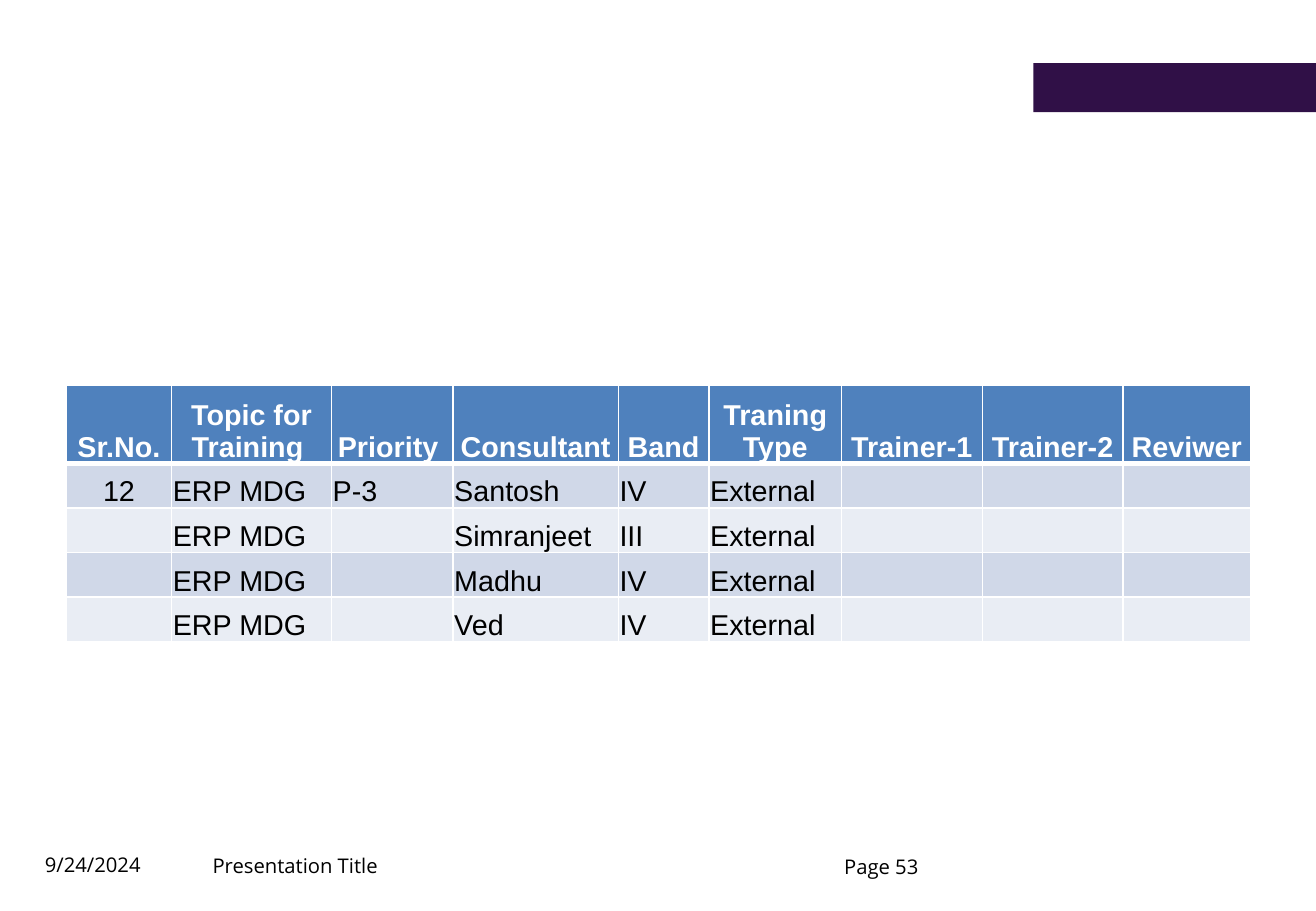
"""Build the training plan slide with its table, accent bar and footer."""
from lxml import etree
from pptx import Presentation
from pptx.dml.color import RGBColor
from pptx.enum.shapes import MSO_SHAPE
from pptx.enum.text import MSO_ANCHOR, PP_ALIGN
from pptx.oxml.ns import qn
from pptx.util import Pt

RECT = MSO_SHAPE.RECTANGLE
TOP, BOTTOM = MSO_ANCHOR.TOP, MSO_ANCHOR.BOTTOM
LEFT, CENTER = PP_ALIGN.LEFT, PP_ALIGN.CENTER
COLORS = {"bar": "301047", "head": "4F81BD", "odd": "D0D8E8",
          "even": "E9EDF4", "white": "FFFFFF", "black": "000000"}


def write(frame, text, font="Arial", size=17, color="black", bold=False,
          align=LEFT, spacing=1.0):
    para = frame.paragraphs[0]
    para.alignment = align
    para.line_spacing = spacing
    run = para.add_run()
    run.text = text
    run.font.name = font
    run.font.size = Pt(size)
    run.font.bold = bold
    run.font.color.rgb = RGBColor.from_string(COLORS[color])


def border(cell, bottom):
    props = cell._tc.get_or_add_tcPr()
    sides = {"lnL": 1, "lnR": 1, "lnT": 1, "lnB": bottom}
    for spot, (side, width) in enumerate(sides.items()):
        line = etree.Element(qn(f"a:{side}"), w=str(Pt(width)))
        fill = etree.SubElement(line, qn("a:solidFill"))
        etree.SubElement(fill, qn("a:srgbClr"), val=COLORS["white"])
        props.insert(spot, line)


deck = Presentation()
deck.slide_width, deck.slide_height = Pt(780), Pt(540)
slide = deck.slides.add_slide(deck.slide_layouts[6])

footers = [
    ("9/24/2024", 26.6, 497.5, 113.8, 22.3, BOTTOM),
    ("Page 53", 500.4, 508.3, 100, 12.2, TOP),
    ("Presentation Title", 126, 498, 140.4, 22.3, BOTTOM),
]
for text, left, top, width, height, anchor in footers:
    box = slide.shapes.add_textbox(Pt(left), Pt(top), Pt(width), Pt(height))
    frame = box.text_frame
    frame.word_wrap = True
    frame.vertical_anchor = anchor
    frame.margin_left = frame.margin_right = 0
    frame.margin_top = frame.margin_bottom = 0
    write(frame, text, font="Open Sans", size=12, spacing=0.9)

bar = slide.shapes.add_shape(RECT, Pt(612.6), Pt(37.4), Pt(167.4), Pt(29.2))
bar.shadow.inherit = False
bar.fill.solid()
bar.fill.fore_color.rgb = RGBColor.from_string(COLORS["bar"])
bar.line.fill.background()

rows = [
    ["Sr.No.", "Topic for Training ", "Priority ", "Consultant", "Band",
     "Traning Type", "Trainer-1", "Trainer-2", "Reviwer"],
    ["12", "ERP MDG", "P-3", "Santosh", "IV", "External", "", "", ""],
    ["", "ERP MDG", "", "Simranjeet", "III", "External", "", "", ""],
    ["", "ERP MDG", "", "Madhu", "IV", "External", "", "", ""],
    ["", "ERP MDG", "", "Ved", "IV", "External", "", "", ""],
]
widths = [62.3, 94.8, 72, 98, 53.8, 78.5, 83.5, 83.5, 75.6]
heights = [46.6] + [26.4] * 4
table = slide.shapes.add_table(len(rows), len(widths), Pt(39.4), Pt(228.2),
                               Pt(sum(widths)), Pt(sum(heights))).table
for col, width in zip(table.columns, widths):
    col.width = Pt(width)
for row, height in zip(table.rows, heights):
    row.height = Pt(height)

for r, row in enumerate(rows):
    head = r == 0
    shade = "head" if head else "odd" if r % 2 else "even"
    for c, text in enumerate(row):
        cell = table.cell(r, c)
        cell.fill.solid()
        cell.fill.fore_color.rgb = RGBColor.from_string(COLORS[shade])
        cell.vertical_anchor = BOTTOM
        cell.margin_left = cell.margin_right = cell.margin_top = Pt(0.75)
        cell.margin_bottom = 0
        border(cell, 3 if head else 1)
        if text:
            write(cell.text_frame, text, bold=head,
                  color="white" if head else "black",
                  align=CENTER if head or c == 0 else LEFT)

deck.save("out.pptx")
